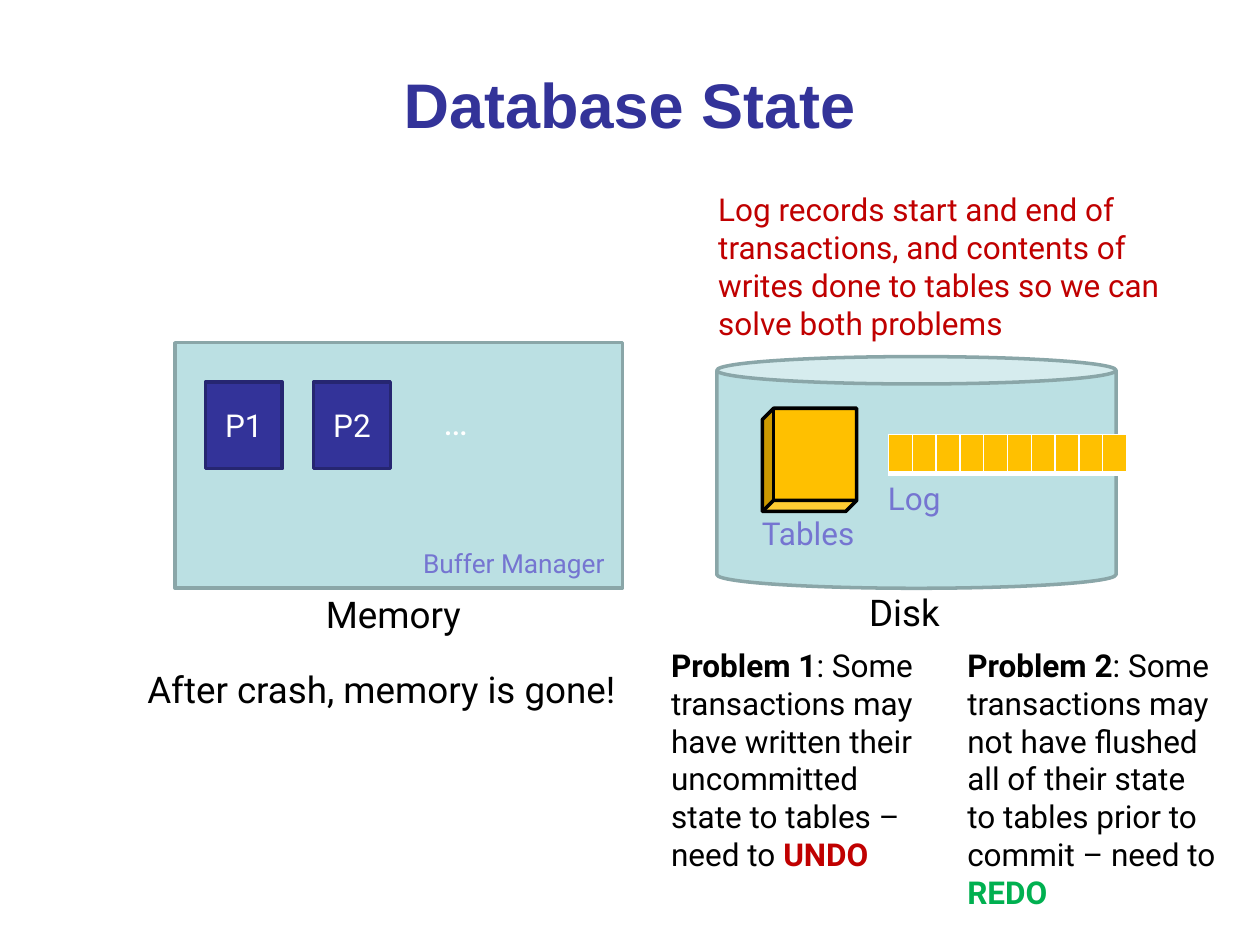
import dataclasses

import lxml.etree
import pptx
import pptx.dml.color
import pptx.enum.shapes
import pptx.enum.text
import pptx.oxml.ns
import pptx.util

Cm = pptx.util.Cm
Pt = pptx.util.Pt
Kind = pptx.enum.shapes.MSO_SHAPE
Align = pptx.enum.text.PP_ALIGN
Anchor = pptx.enum.text.MSO_ANCHOR

NAVY, LILAC, BLACK, WHITE = "333399", "7575D1", "000000", "FFFFFF"
AQUA, SLATE, GOLD, RED, GREEN = "BBE0E3", "8AA6A8", "FFC000", "C00000", "00B050"


@dataclasses.dataclass
class Box:
    left: float
    top: float
    width: float
    height: float

    def area(self) -> tuple:
        return Cm(self.left), Cm(self.top), Cm(self.width), Cm(self.height)


@dataclasses.dataclass
class Run:
    text: str
    size: float = 18
    color: str = BLACK
    bold: bool = False
    font: str = "Roboto"


@dataclasses.dataclass
class Label:
    box: Box
    runs: list[Run]
    inset: float = 0.25


def paint(code: str) -> pptx.dml.color.RGBColor:
    return pptx.dml.color.RGBColor.from_string(code)


def write(frame, runs: list[Run], center: bool = False) -> None:
    frame.word_wrap = True
    para = frame.paragraphs[0]
    para.alignment = Align.CENTER if center else Align.LEFT
    if center:
        frame.vertical_anchor = Anchor.MIDDLE
    for item in runs:
        run = para.add_run()
        run.text = item.text
        run.font.name = item.font
        run.font.size = Pt(item.size)
        run.font.bold = item.bold
        run.font.color.rgb = paint(item.color)


def label(slide, item: Label, center: bool = False) -> None:
    frame = slide.shapes.add_textbox(*item.box.area()).text_frame
    frame.margin_left = Cm(item.inset)
    write(frame, item.runs, center)


def solid(slide, kind, box: Box, fill: str, line: str, depth: float | None = None):
    shape = slide.shapes.add_shape(kind, *box.area())
    shape.shadow.inherit = False
    shape.fill.solid()
    shape.fill.fore_color.rgb = paint(fill)
    shape.line.color.rgb = paint(line)
    shape.line.width = Pt(2)
    if depth is not None:
        shape.adjustments[0] = depth
    return shape


def edge(cell, color: str) -> None:
    props = cell._tc.get_or_add_tcPr()
    sides = {"lnL": 1, "lnR": 1, "lnT": 1, "lnB": 3}
    for spot, (side, width) in enumerate(sides.items()):
        line = lxml.etree.Element(pptx.oxml.ns.qn("a:" + side), w=str(Pt(width)))
        fill = lxml.etree.SubElement(line, pptx.oxml.ns.qn("a:solidFill"))
        lxml.etree.SubElement(fill, pptx.oxml.ns.qn("a:srgbClr"), val=color)
        props.insert(spot, line)


def strip(slide, box: Box, count: int) -> None:
    table = slide.shapes.add_table(1, count, *box.area()).table
    table.first_row = table.horz_banding = False
    for col in table.columns:
        col.width = Cm(box.width / count)
    for cell in table.iter_cells():
        cell.margin_left = cell.margin_right = 0
        cell.margin_top = cell.margin_bottom = 0
        cell.fill.solid()
        cell.fill.fore_color.rgb = paint(GOLD)
        edge(cell, WHITE)


deck = pptx.Presentation()
deck.slide_width, deck.slide_height = Cm(25.4), Cm(19.05)
slide = deck.slides.add_slide(deck.slide_layouts[6])

# Title
title = Run("Database State", 36, NAVY, True, "Arial")
label(slide, Label(Box(0.69, 0.71, 24, 2.74), [title]), center=True)

# Memory, disk, tables and log
solid(slide, Kind.RECTANGLE, Box(3.53, 6.91, 9.02, 4.95), AQUA, SLATE)
solid(slide, Kind.CAN, Box(14.45, 7.19, 8.05, 4.67), AQUA, SLATE, 0.118)
cube = solid(slide, Kind.CUBE, Box(15.37, 8.23, 1.9, 2.08), GOLD, BLACK, 0.117)
cube.rotation = 180
strip(slide, Box(17.91, 8.76, 4.8, 0.78), 10)

# Buffer pages
for spot, name in enumerate(["P1", "P2"]):
    box = Box(4.14 + 2.18 * spot, 7.7, 1.55, 1.75)
    page = solid(slide, Kind.RECTANGLE, box, NAVY, "262671")
    page.text_frame.margin_left = page.text_frame.margin_right = 0
    write(page.text_frame, [Run(name, color=WHITE)], center=True)

# Labels and notes
labels = [
    Label(Box(8.69, 7.92, 4.78, 1.14), [Run("…", 21, WHITE)]),
    Label(Box(8.28, 10.9, 5.59, 0.89), [Run("Buffer Manager", 15, LILAC)]),
    Label(Box(17.27, 11.76, 2.79, 1.14), [Run("Disk", 21)]),
    Label(Box(15.11, 10.24, 2.79, 1.02), [Run("Tables", color=LILAC)]),
    Label(Box(17.65, 9.53, 2.79, 1.02), [Run("Log", color=LILAC)]),
    Label(Box(6.32, 11.81, 3.71, 1.14), [Run("Memory", 21)]),
    Label(Box(2.72, 13.31, 16.38, 1.14), [Run("After crash, memory is gone!", 21)]),
    Label(Box(10.74, 12.9, 8.33, 4.88), [
        Run("Problem 1", bold=True),
        Run(": Some transactions may have written their uncommitted "
            "state to tables – need to "),
        Run("UNDO", color=RED, bold=True),
    ], 2.79),
    Label(Box(16.71, 12.9, 8.05, 5.64), [
        Run("Problem 2", bold=True),
        Run(": Some transactions may not have flushed all of their state "
            "to tables prior to commit – need to "),
        Run("REDO", color=GREEN, bold=True),
    ], 2.79),
    Label(Box(14.2, 3.71, 9.7, 3.33), [
        Run("Log records start and end of transactions, and contents of "
            "writes done to tables so we can solve both problems", color=RED),
    ], 0.28),
]
for item in labels:
    label(slide, item)

deck.save("out.pptx")
